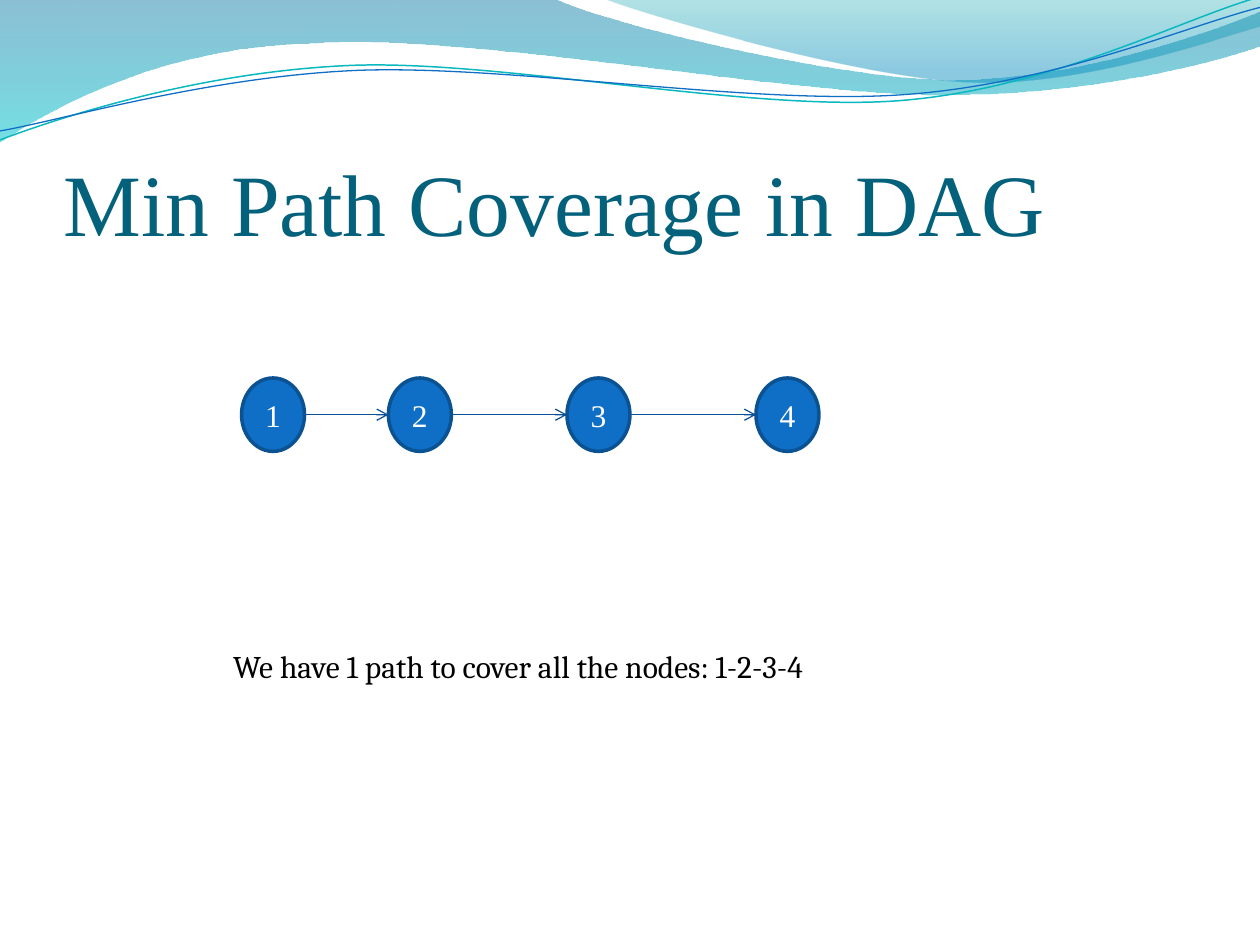
import math

from lxml import etree
from pptx import Presentation
from pptx import util as u
from pptx.dml.color import RGBColor
from pptx.enum import shapes, text
from pptx.oxml.ns import qn


def color(value):
    return RGBColor.from_string(value)


def write(shape, words, font, **frame_format):
    frame = shape.text_frame
    for name, value in frame_format.items():
        setattr(frame, name, value)
    para = frame.paragraphs[0]
    span = para.add_run()
    span.text = words
    for name, value in font.items():
        if name == "color":
            span.font.color.rgb = color(value)
        else:
            setattr(span.font, name, value)
    return para


deck = Presentation()
deck.slide_width, deck.slide_height = u.Cm(25.4), u.Cm(19.05)
page = deck.slides.add_slide(deck.slide_layouts[6])

# Header waves in cm: pairs are straight points, sixes are Bezier segments
waves = [
    {"start": (0, 0),
     "steps": [(11.18, -0.03), (12.09, 0.43, 16.87, 1.6, 19.25, 1.6),
               (21.67, 1.6, 24.33, 0.66, 25.4, 0.23), (25.43, 0.91),
               (24.97, 1.12, 22.1, 1.93, 18.95, 1.91),
               (15.8, 1.91, 9.7, 0.71, 6.53, 0.86),
               (3.28, 0.91, 1.17, 2.11, -0.03, 2.87), (0, 0)],
     "stops": [(0, "0074A1", 45), (1, "00C6CF", 55)]},
    {"start": (12.17, -0.03),
     "steps": [(12.93, 0.28, 17.32, 1.57, 19.53, 1.65),
               (21.74, 1.75, 24.41, 0.81, 25.4, 0.53), (25.4, 0), (12.17, -0.03)],
     "stops": [(0, "00A1A9", 30), (0.8, "008BBF", 45)]},
    {"start": (0, 2.82),
     "steps": [(1.22, 2.36, 4.01, 1.45, 7.04, 1.32),
               (10.03, 1.19, 15.06, 2.26, 18.11, 2.03),
               (21.16, 1.8, 23.83, 0.38, 25.35, -0.05)],
     "line": ("0AB8BF", 0.85), "tilt": -2.7, "pivot": (12.67, 1.46)},
    {"start": (0, 2.64),
     "steps": [(1.19, 2.44, 4.17, 1.55, 7.19, 1.42),
               (10.24, 1.3, 15.16, 2.13, 18.21, 1.91),
               (21.23, 1.7, 23.9, 0.53, 25.4, 0.15)],
     "line": ("0F6FC6", 0.75), "tilt": -2.7, "pivot": (12.69, 1.5)},
]
for wave in waves:
    # Tilted waves are laid out level, then rotated as a whole
    tilt = wave.get("tilt", 0)
    cx, cy = wave.get("pivot", (0, 0))
    cos, sin = math.cos(math.radians(-tilt)), math.sin(math.radians(-tilt))
    points = []
    for step in [wave["start"], *wave["steps"]]:
        for x, y in zip(step[::2], step[1::2]):
            dx, dy = x - cx, y - cy
            points.append((u.Cm(cx + dx * cos - dy * sin),
                           u.Cm(cy + dx * sin + dy * cos)))
    builder = page.shapes.build_freeform(*points[0])
    builder.add_line_segments(points[1:], close="stops" in wave)
    band = builder.convert_to_shape()
    band.shadow.inherit = False
    band.rotation = tilt

    # Join each run of three points into one Bezier segment
    segments = iter(list(band._element.iter(qn("a:lnTo"))))
    for step in wave["steps"]:
        segment = next(segments)
        if len(step) == 6:
            segment.tag = qn("a:cubicBezTo")
            for _ in range(2):
                extra = next(segments)
                segment.append(extra[0])
                extra.getparent().remove(extra)

    if "line" in wave:
        band.fill.background()
        band.line.color.rgb = color(wave["line"][0])
        band.line.width = u.Pt(wave["line"][1])
        continue
    band.line.fill.background()
    band.fill.gradient()
    band.fill.gradient_angle = 270
    for stop, (position, tint, _) in zip(band.fill.gradient_stops, wave["stops"]):
        stop.position = position
        stop.color.rgb = color(tint)
    tints = band._element.spPr.iter(qn("a:srgbClr"))
    for tint, (_, _, opacity) in zip(tints, wave["stops"]):
        etree.SubElement(tint, qn("a:alpha"), val=str(opacity * 1000))

# Title
title = page.shapes.add_textbox(u.Cm(1.28), u.Cm(1.94), u.Cm(22.86), u.Cm(3.18))
write(title, "Min Path Coverage in DAG",
      {"name": "Times New Roman", "size": u.Pt(50), "color": "04617B"},
      margin_left=0, margin_right=0, margin_bottom=0,
      word_wrap=True, vertical_anchor=text.MSO_ANCHOR.BOTTOM)

# Graph nodes
nodes = []
for number, left in enumerate((4.87, 7.83, 11.43, 15.24), 1):
    node = page.shapes.add_shape(shapes.MSO_SHAPE.OVAL, u.Cm(left), u.Cm(7.62),
                                 u.Cm(1.27), u.Cm(1.48))
    node.shadow.inherit = False
    node.fill.solid()
    node.fill.fore_color.rgb = color("0F6FC6")
    node.line.color.rgb = color("0B5292")
    node.line.width = u.Pt(2)
    para = write(node, str(number),
                 {"name": "Times New Roman", "size": u.Pt(18), "color": "FFFFFF"},
                 vertical_anchor=text.MSO_ANCHOR.MIDDLE)
    para.alignment = text.PP_ALIGN.CENTER
    nodes.append(node)

# Arrows between neighbours
for source, target in zip(nodes, nodes[1:]):
    middle = source.top + source.height // 2
    arrow = page.shapes.add_connector(shapes.MSO_CONNECTOR.STRAIGHT,
                                      source.left + source.width, middle,
                                      target.left, middle)
    arrow.line.color.rgb = color("095295")
    arrow.line.width = u.Pt(0.75)
    etree.SubElement(arrow.line._get_or_add_ln(), qn("a:tailEnd"), type="arrow")
    etree.SubElement(arrow._element.spPr, qn("a:effectLst"))

# Conclusion
note = page.shapes.add_textbox(u.Cm(4.45), u.Cm(12.92), u.Cm(12.7), u.Cm(1.02))
write(note, "We have 1 path to cover all the nodes: 1-2-3-4",
      {"name": "Cambria", "size": u.Pt(18), "color": "000000"},
      word_wrap=False, auto_size=text.MSO_AUTO_SIZE.SHAPE_TO_FIT_TEXT)

deck.save("out.pptx")
